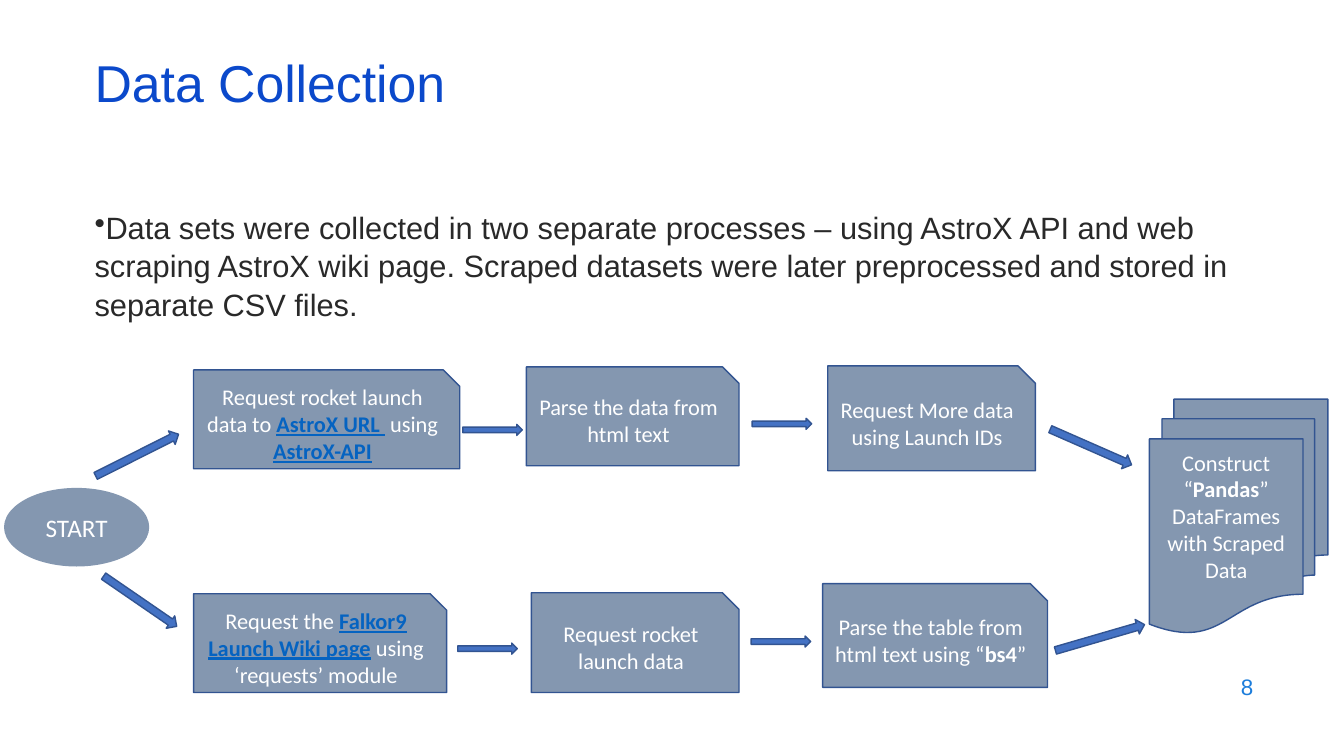
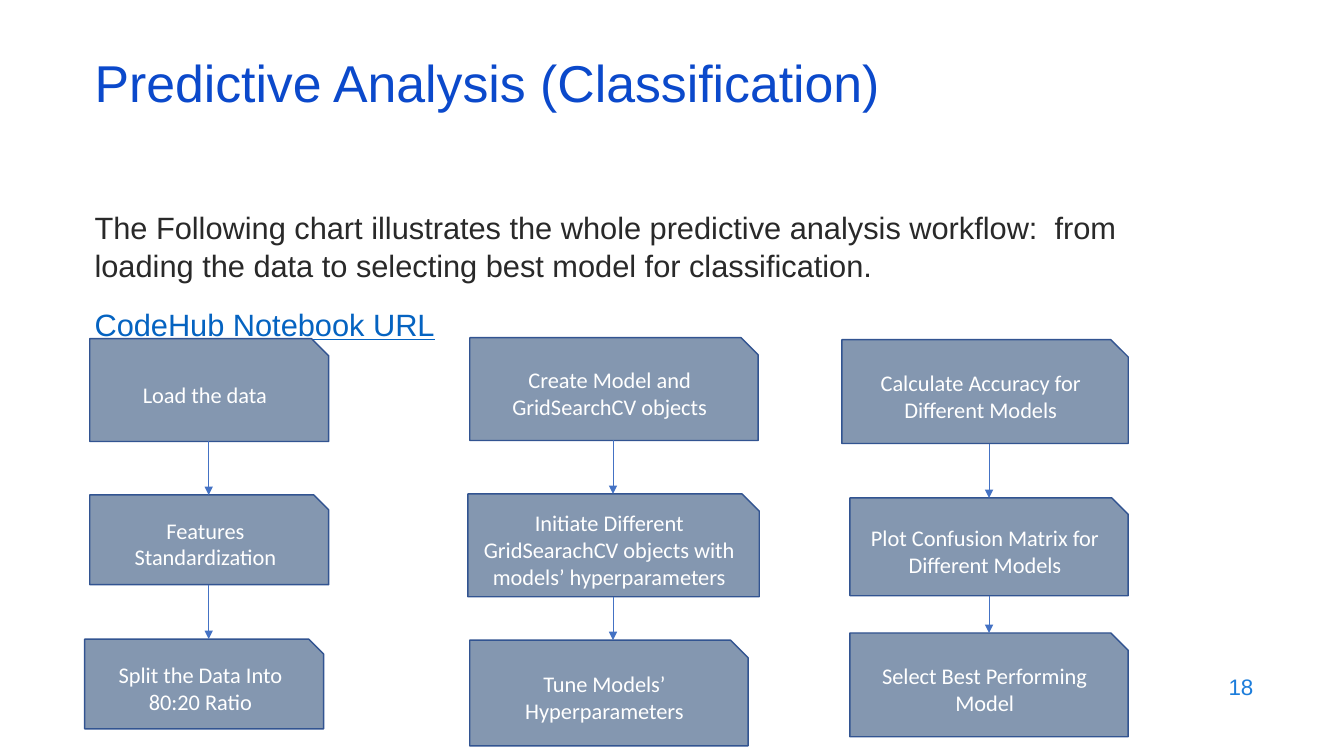
from itertools import pairwise

from lxml.etree import SubElement
from pptx import Presentation
from pptx.dml.color import RGBColor
from pptx.enum.shapes import MSO_CONNECTOR, MSO_SHAPE
from pptx.enum.text import MSO_ANCHOR, PP_ALIGN
from pptx.oxml.ns import qn
from pptx.util import Pt

PX = 9144
WHITE = RGBColor(0xFF, 0xFF, 0xFF)
DARK = RGBColor(0x29, 0x29, 0x29)
TITLE = RGBColor(0x0B, 0x49, 0xCB)
PAGE = RGBColor(0x1C, 0x7D, 0xDB)
LINK = RGBColor(0x05, 0x63, 0xC1)
STEEL = RGBColor(0x84, 0x97, 0xB0)
EDGE = RGBColor(0x32, 0x54, 0x91)
BLUE = RGBColor(0x44, 0x72, 0xC4)
BOLD = {"bold": True}
URL = {"bold": True, "under": True, "color": LINK}


def write(para, text, size=16, font="Calibri", color=WHITE, bold=False, under=False):
    """Add a formatted run to a paragraph."""
    run = para.add_run()
    run.text = text
    run.font.size = Pt(size)
    run.font.name = font
    run.font.color.rgb = color
    run.font.bold = bold
    run.font.underline = under


class Deck:
    """Hold the deck style and the current slide."""

    def __init__(self):
        """Open an empty wide deck."""
        self.file = Presentation()
        self.file.slide_width = 1333 * PX
        self.file.slide_height = 750 * PX

    def page(self, title, num):
        """Start a slide with its title and number."""
        self.slide = self.file.slides.add_slide(self.file.slide_layouts[6])
        head = self.text(84, 59, 1150, 60, title, size=37, color=TITLE)
        head.vertical_anchor = MSO_ANCHOR.MIDDLE
        head.paragraphs[0].line_spacing = 0.7
        foot = self.text(953, 659, 300, 44, str(num), size=16, color=PAGE)
        foot.vertical_anchor = MSO_ANCHOR.MIDDLE
        foot.paragraphs[0].alignment = PP_ALIGN.RIGHT

    def text(self, x, y, w, h, text, **look):
        """Add a text box with one paragraph."""
        box = self.slide.shapes.add_textbox(x * PX, y * PX, w * PX, h * PX)
        frame = box.text_frame
        frame.word_wrap = True
        write(frame.paragraphs[0], text, font="Arial", **look)
        return frame

    def body(self, width, text, dot=False, link=None):
        """Add the main text, with an optional bullet and link line."""
        frame = self.text(84, 200, width, 476, text, size=22, color=DARK)
        first = frame.paragraphs[0]
        first.line_spacing = 1.05
        if dot:
            props = first._p.get_or_add_pPr()
            props.set("marL", "0")
            props.set("indent", "0")
            SubElement(props, qn("a:buChar")).set("char", "•")
        if link:
            para = frame.add_paragraph()
            para.line_spacing = 1.05
            para.space_before = Pt(14)
            write(para, link, size=22, font="Arial", color=LINK, under=True)

    def shape(self, kind, x, y, w, h, fill=STEEL, edge=EDGE):
        """Add a flat preset shape."""
        item = self.slide.shapes.add_shape(kind, x * PX, y * PX, w * PX, h * PX)
        item.shadow.inherit = False
        item.fill.solid()
        item.fill.fore_color.rgb = fill
        if edge is None:
            item.line.fill.background()
        else:
            item.line.color.rgb = edge
            item.line.width = Pt(1)
        return item

    def box(self, x, y, w, h, *runs, kind=MSO_SHAPE.SNIP_1_RECTANGLE, edge=EDGE, size=16):
        """Add a shape with centred text made of runs."""
        frame = self.shape(kind, x, y, w, h, edge=edge).text_frame
        frame.word_wrap = True
        frame.vertical_anchor = MSO_ANCHOR.MIDDLE
        para = frame.paragraphs[0]
        para.alignment = PP_ALIGN.CENTER
        for run in runs:
            text, look = (run, {}) if isinstance(run, str) else run
            write(para, text, size=size, **look)
        return frame

    def arrow(self, x, y, w, h, turn=0):
        """Add a block arrow."""
        self.shape(MSO_SHAPE.RIGHT_ARROW, x, y, w, h, fill=BLUE).rotation = turn

    def line(self, x, top, end):
        """Add a thin arrow that points down."""
        item = self.slide.shapes.add_connector(
            MSO_CONNECTOR.STRAIGHT, x * PX, top * PX, x * PX, end * PX)
        item.line.color.rgb = BLUE
        item.line.width = Pt(0.5)
        SubElement(item.line._get_or_add_ln(), qn("a:tailEnd")).set("type", "triangle")
        SubElement(item._element.spPr, qn("a:effectLst"))


def collect(deck):
    """Build the data collection slide."""
    deck.page("Data Collection", 8)
    deck.body(1150, "Data sets were collected in two separate processes – using AstroX API "
              "and web scraping AstroX wiki page. Scraped datasets were later preprocessed "
              "and stored in separate CSV files.", dot=True)
    deck.box(4, 484, 144, 78, "START", kind=MSO_SHAPE.OVAL, edge=None, size=18)
    deck.box(192, 367, 264, 98, "Request rocket launch data to ", ("AstroX URL ", URL),
             " using ", ("AstroX-API", URL))
    deck.box(522, 364, 211, 98, "Parse the data from html text")
    deck.box(821, 363, 206, 104, "Request More data using Launch IDs")
    stack = deck.box(1140, 396, 177, 232, "Construct “", ("Pandas", BOLD),
                     "” DataFrames with Scraped Data",
                     kind=MSO_SHAPE.FLOWCHART_MULTIDOCUMENT)
    stack.margin_bottom = 36 * PX
    deck.box(192, 589, 251, 98, "Request the ", ("Falkor9 Launch Wiki page", URL),
             " using ‘requests’ module")
    deck.box(527, 588, 206, 99, "Request rocket launch data")
    deck.box(816, 579, 223, 103, "Parse the table from html text using “", ("bs4", BOLD), "”")
    for x, y in ((746, 415), (745, 631), (454, 638), (459, 421)):
        deck.arrow(x, y, 59, 11)
    for x, y, w, turn in ((1045, 625, 92, 343.8), (1038, 436, 88, 23.7),
                          (95, 589, 88, 34.5), (90, 444, 92, 333.3)):
        deck.arrow(x, y, w, 15, turn)


def predict(deck):
    """Build the predictive analysis slide."""
    deck.page("Predictive Analysis (Classification)", 18)
    deck.body(1066, "The Following chart illustrates the whole predictive analysis workflow:  "
              "from loading the data to selecting best model for classification.",
              link="CodeHub Notebook URL")
    flows = {
        207: ((89, 336, 237, 102, "Load the data"),
              (89, 491, 237, 89, "Features Standardization"),
              (84, 634, 237, 89, "Split the Data Into 80:20 Ratio")),
        608: ((466, 335, 286, 102, "Create Model and GridSearchCV objects"),
              (464, 490, 289, 102,
               "Initiate Different GridSearachCV objects with models’ hyperparameters"),
              (466, 635, 276, 105, "Tune Models’ Hyperparameters")),
        981: ((835, 337, 284, 103, "Calculate Accuracy for Different Models"),
              (843, 494, 276, 97, "Plot Confusion Matrix for Different Models"),
              (843, 628, 276, 103, "Select Best Performing Model")),
    }
    for mid, steps in flows.items():
        for step in steps:
            deck.box(*step)
        for (_, top, _, high, _), (_, end, *_) in pairwise(steps):
            deck.line(mid, top + high, end)


def main():
    """Build and save the deck."""
    deck = Deck()
    collect(deck)
    predict(deck)
    deck.file.save("out.pptx")


if __name__ == "__main__":
    main()
